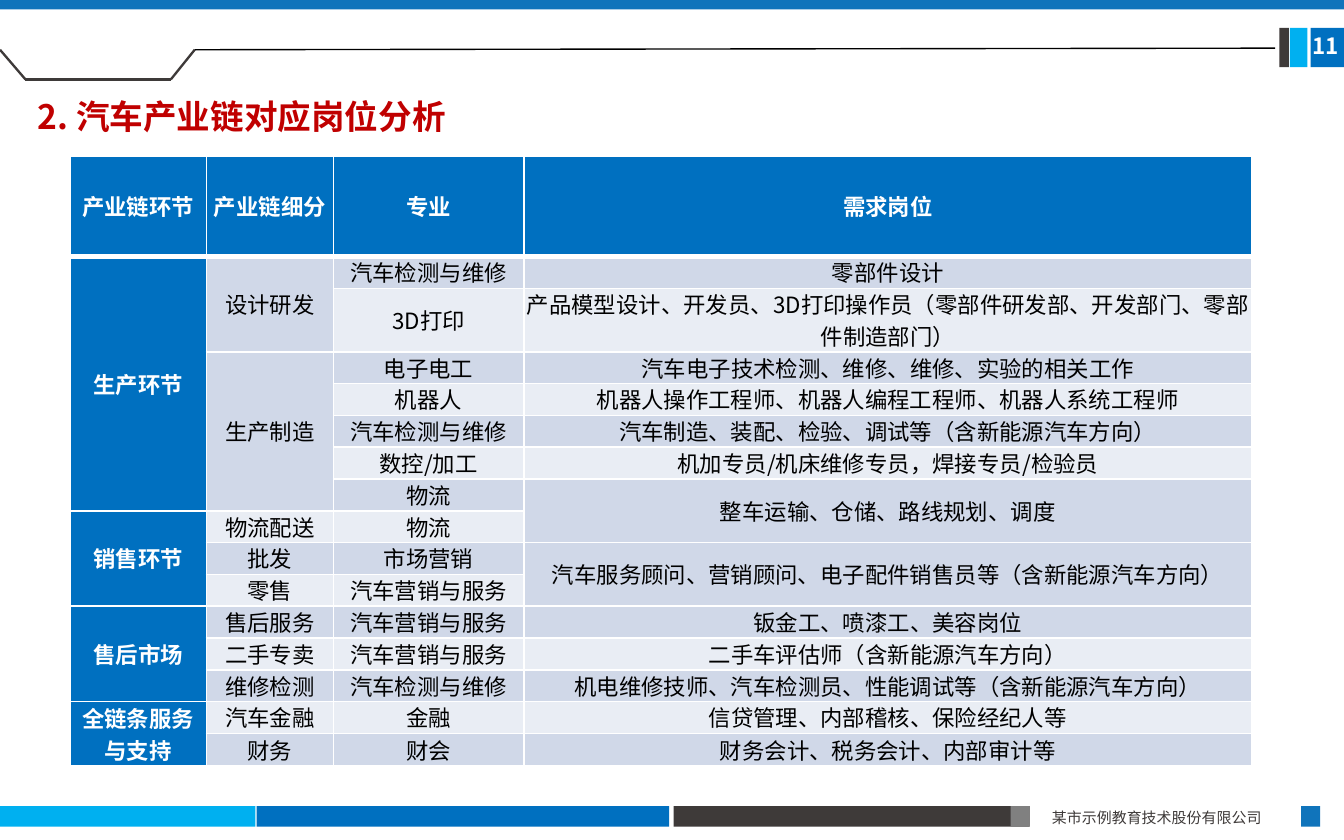
"""Builds the slide on jobs along the automotive industry chain."""
from itertools import pairwise

from lxml import etree
from pptx import Presentation
from pptx.dml.color import RGBColor
from pptx.enum.shapes import MSO_CONNECTOR, MSO_SHAPE
from pptx.enum.text import MSO_ANCHOR, MSO_AUTO_SIZE, PP_ALIGN
from pptx.oxml.ns import qn
from pptx.util import Cm, Pt

RECT = MSO_SHAPE.RECTANGLE
STRAIGHT = MSO_CONNECTOR.STRAIGHT
MIDDLE = MSO_ANCHOR.MIDDLE
FIXED = MSO_AUTO_SIZE.NONE
LEFT, CENTER, JUSTIFY = PP_ALIGN.LEFT, PP_ALIGN.CENTER, PP_ALIGN.JUSTIFY

THEME = {
    "font": "Noto Sans CJK SC",
    "blue": "0070C0", "navy": "1074BB", "cyan": "00B0F0",
    "dark": "3E3A39", "gray": "808080", "red": "C00000",
    "black": "000000", "white": "FFFFFF",
    "bands": ("E9EDF4", "D0D8E8"),
    "title": 18, "body": 12, "small": 8, "lead": 17,
}

TITLE = "2. 汽车产业链对应岗位分析"
OWNER = "某市示例教育技术股份有限公司"
PAGE = "11"
ROWS = [
    ("产业链环节", "产业链细分", "专业", "需求岗位"),
    ("生产环节", "设计研发", "汽车检测与维修", "零部件设计"),
    ("", "", "3D打印", "产品模型设计、开发员、3D打印操作员（零部件研发部、开发部门、零部件制造部门）"),
    ("", "生产制造", "电子电工", "汽车电子技术检测、维修、维修、实验的相关工作"),
    ("", "", "机器人", "机器人操作工程师、机器人编程工程师、机器人系统工程师"),
    ("", "", "汽车检测与维修", "汽车制造、装配、检验、调试等（含新能源汽车方向）"),
    ("", "", "数控/加工", "机加专员/机床维修专员，焊接专员/检验员"),
    ("", "", "物流", "整车运输、仓储、路线规划、调度"),
    ("销售环节", "物流配送", "物流", ""),
    ("", "批发", "市场营销", "汽车服务顾问、营销顾问、电子配件销售员等（含新能源汽车方向）"),
    ("", "零售", "汽车营销与服务", ""),
    ("售后市场", "售后服务", "汽车营销与服务", "钣金工、喷漆工、美容岗位"),
    ("", "二手专卖", "汽车营销与服务", "二手车评估师（含新能源汽车方向）"),
    ("", "维修检测", "汽车检测与维修", "机电维修技师、汽车检测员、性能调试等（含新能源汽车方向）"),
    ("全链条服务\n与支持", "汽车金融", "金融", "信贷管理、内部稽核、保险经纪人等"),
    ("", "财务", "财会", "财务会计、税务会计、内部审计等"),
]
WIDTHS = (2.58, 2.4, 3.6, 13.76)
HEIGHTS = [1.9, 0.6, 1.2] + [0.6] * 12 + [0.62]

FOOT, TAB = (15.24, 0.39), (0.53, 0.74)
BARS = [
    (0, 4.83, FOOT, "cyan"),
    (4.85, 7.8, FOOT, "blue"),
    (12.73, 6.73, FOOT, "dark"),
    (19.1, 0.36, FOOT, "gray"),
    (24.59, 0.36, FOOT, "navy"),
    (24.77, 0.63, TAB, "blue"),
    (24.38, 0.33, TAB, "cyan"),
    (24.18, 0.18, TAB, "dark"),
    (0, 25.4, (0, 0.18), "navy"),
]
TRACK = [(0, 0.94), (0.48, 1.5), (3.23, 1.5), (3.68, 0.94), (24.1, 0.91)]


def rgb(name):
    return RGBColor.from_string(THEME.get(name, name))


def style(frame, size, color, bold=False, align=LEFT, lead=None):
    for para in frame.paragraphs:
        para.alignment = align
        if lead:
            para.line_spacing = Pt(lead)
        font = para.font
        font.name, font.size, font.bold = THEME["font"], Pt(THEME[size]), bold
        font.color.rgb = rgb(color)
        base = para._p.pPr.find(qn("a:defRPr"))
        etree.SubElement(base, qn("a:ea"), typeface=THEME["font"])


def label(shape, text, size, color, bold=False, align=LEFT):
    frame = shape.text_frame
    frame.text = text
    frame.word_wrap, frame.auto_size = True, FIXED
    frame.vertical_anchor = MIDDLE
    style(frame, size, color, bold, align)


def place(shape, *box):
    shape.left, shape.top, shape.width, shape.height = map(Cm, box)


def border(cell, head):
    props = cell._tc.get_or_add_tcPr()
    for side in "LRTB":
        width = Pt(3 if head and side == "B" else 1)
        line = etree.SubElement(props, qn(f"a:ln{side}"), w=str(width))
        fill = etree.SubElement(line, qn("a:solidFill"))
        etree.SubElement(fill, qn("a:srgbClr"), val=THEME["white"])


def draw_frame(shapes):
    for left, width, (top, height), color in BARS:
        bar = shapes.add_shape(RECT, *map(Cm, (left, top, width, height)))
        bar.shadow.inherit = False
        bar.fill.solid()
        bar.fill.fore_color.rgb = rgb(color)
        bar.line.fill.background()
    for start, end in pairwise(TRACK):
        line = shapes.add_connector(STRAIGHT, *map(Cm, start + end))
        last = end == TRACK[-1]
        line.line.color.rgb = rgb("black" if last else "dark")
        line.line.width = Pt(0.75 if last else 1.25)
        etree.SubElement(line._element.spPr, qn("a:effectLst"))


def draw_table(shapes):
    box = map(Cm, (1.32, 2.95, sum(WIDTHS), sum(HEIGHTS)))
    table = shapes.add_table(len(ROWS), len(WIDTHS), *box).table
    table.horz_banding = False
    for col, width in zip(table.columns, WIDTHS):
        col.width = Cm(width)
    for row, height in zip(table.rows, HEIGHTS):
        row.height = Cm(height)
    for r, row in enumerate(ROWS):
        for c, text in enumerate(row):
            cell = table.cell(r, c)
            key = r == 0 or c == 0
            border(cell, r == 0)
            cell.fill.solid()
            cell.fill.fore_color.rgb = rgb("blue" if key else THEME["bands"][r % 2])
            cell.margin_left = cell.margin_right = 0
            cell.margin_top = cell.margin_bottom = 0
            cell.vertical_anchor = MIDDLE
            cell.text_frame.text = text
            style(cell.text_frame, "body", "white" if key else "black",
                  key, CENTER, THEME["lead"])
    for c in range(len(WIDTHS)):
        starts = [r for r, row in enumerate(ROWS) if row[c]] + [len(ROWS)]
        for top, end in pairwise(starts):
            if end - top > 1:
                table.cell(top, c).merge(table.cell(end - 1, c))


def main():
    deck = Presentation()
    deck.slide_width, deck.slide_height = Cm(25.4), Cm(15.88)
    slide = deck.slides.add_slide(deck.slide_layouts[5])
    shapes = slide.shapes
    draw_frame(shapes)
    draw_table(shapes)
    place(shapes.title, 0.46, 1.68, 8.64, 1.02)
    label(shapes.title, TITLE, "title", "red", True)
    owner = shapes.add_textbox(*map(Cm, (19.63, 15.16, 4.93, 0.61)))
    label(owner, OWNER, "small", "dark", align=JUSTIFY)
    page = shapes.add_textbox(*map(Cm, (24.56, 0.48, 1.27, 0.76)))
    label(page, PAGE, "body", "white", True)
    deck.save("out.pptx")


if __name__ == "__main__":
    main()
